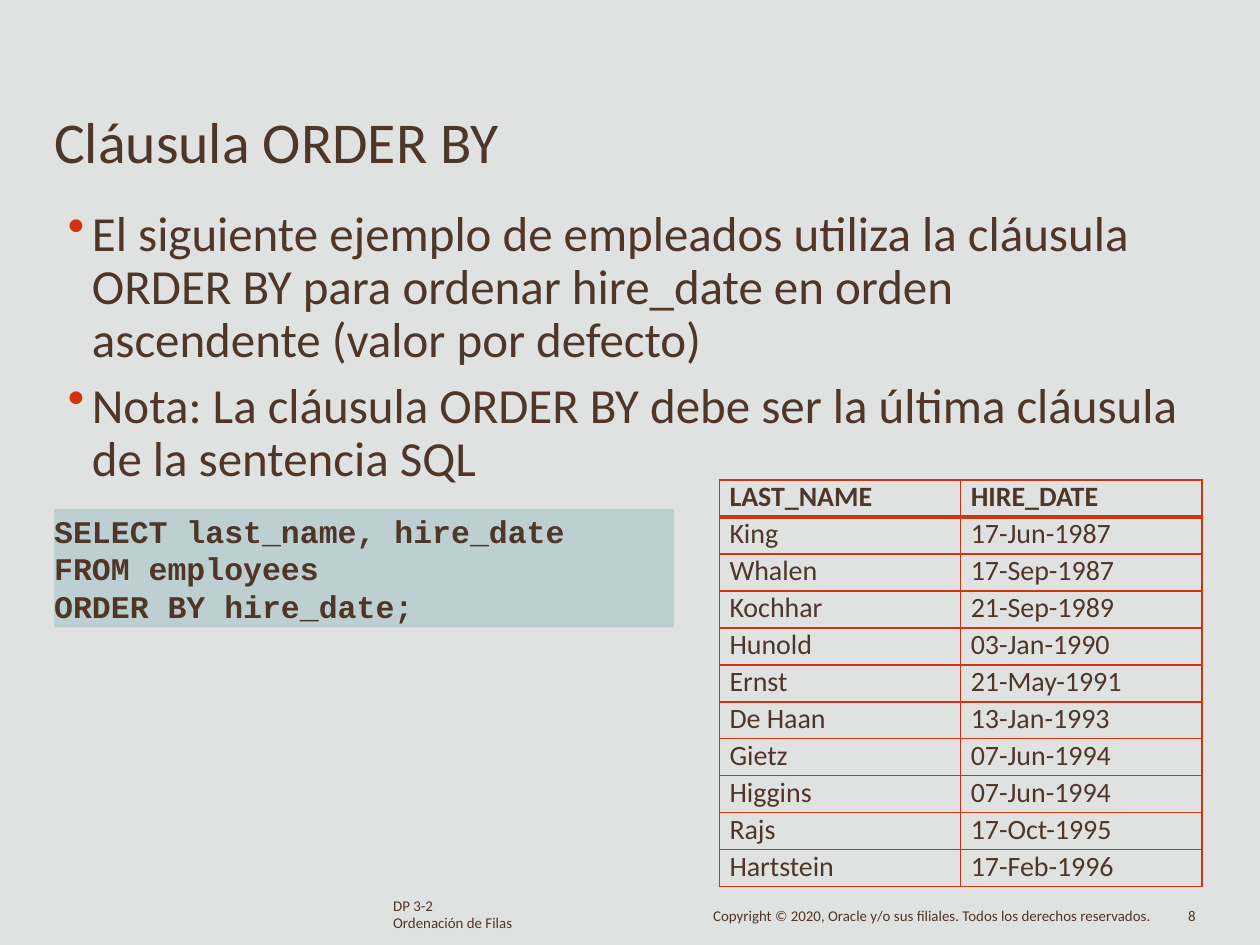
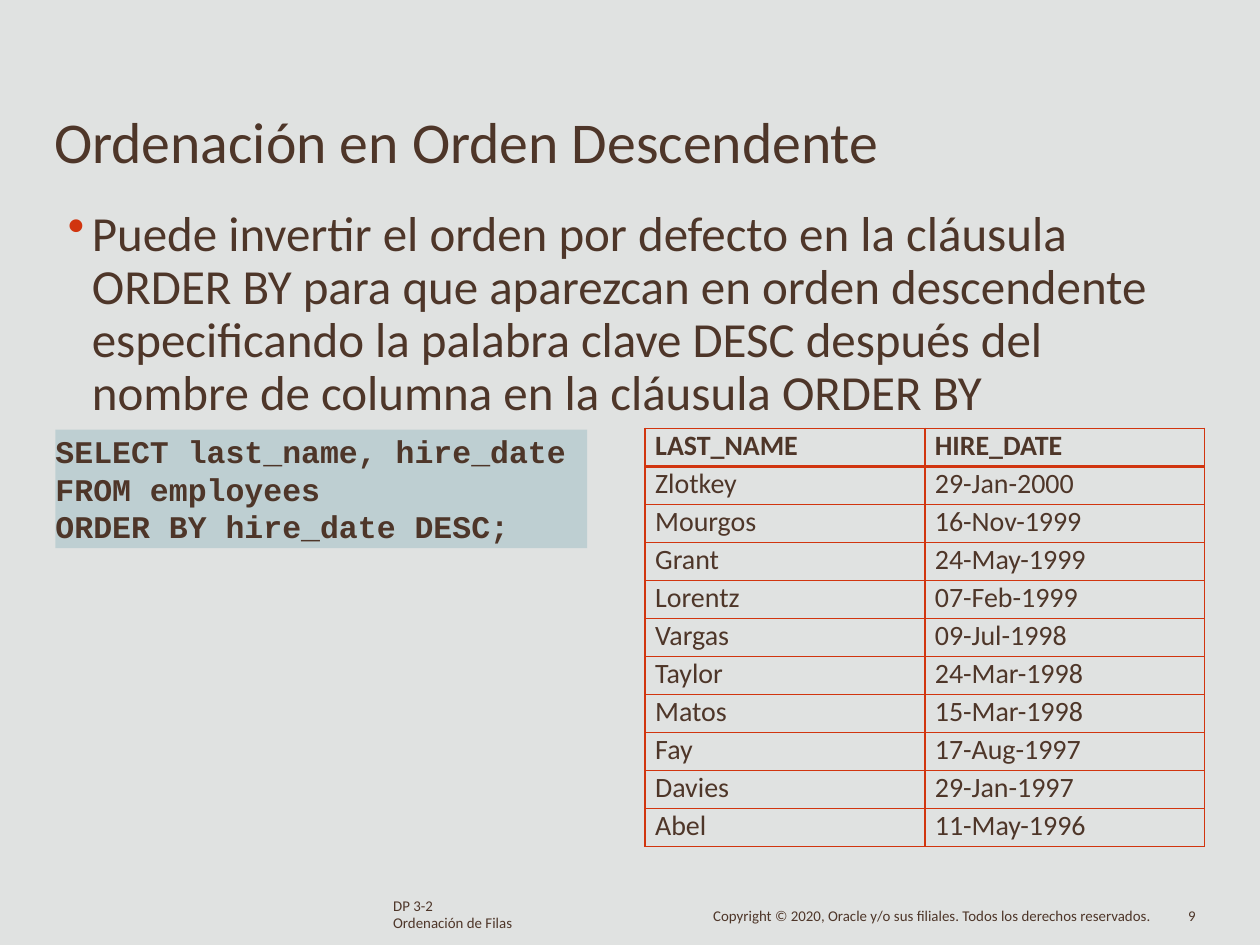
"""Build two slides on sorting rows with the ORDER BY clause."""
import lxml.etree
import pptx
import pptx.dml.color
import pptx.enum.shapes
import pptx.enum.text
import pptx.oxml.ns
import pptx.util

Inches = pptx.util.Inches
Pt = pptx.util.Pt

BROWN, RED, PALE, TEAL = "4E3629", "D1350F", "E0E2E1", "9DBEC4"
BODY_FONT, CODE_FONT = "Calibri", "Courier New"
TITLE_AREA = (0.43, 0.82, 9, 0.58)
HEADINGS = ("LAST_NAME", "HIRE_DATE")
FOOTERS = [
    ((3.12, 7.12, 0.98, 0.27), ["DP 3-2", "Ordenación de Filas"], 9.7),
    ((5.66, 7.21, 3.6, 0.15),
     ["Copyright © 2020, Oracle y/o sus filiales. Todos los derechos reservados."], 9.1),
]
NUMBER_AREA = (9.43, 7.21, 0.19, 0.15)

SLIDES = [
    {
        "number": 8,
        "title": "Cláusula ORDER BY",
        "bullets": [
            "El siguiente ejemplo de empleados utiliza la cláusula ORDER BY para "
            "ordenar hire_date en orden ascendente (valor por defecto)",
            "Nota: La cláusula ORDER BY debe ser la última cláusula de la sentencia SQL",
        ],
        "bullet_area": (0.53, 1.55, 8.84, 2.29),
        "code": ["SELECT last_name, hire_date", "FROM employees", "ORDER BY hire_date;"],
        "code_area": (0.43, 4.04, 4.92, 0.94),
        "table_area": (5.71, 3.81, 3.83, 3.23),
        "rows": [
            ("King", "17-Jun-1987"), ("Whalen", "17-Sep-1987"),
            ("Kochhar", "21-Sep-1989"), ("Hunold", "03-Jan-1990"),
            ("Ernst", "21-May-1991"), ("De Haan", "13-Jan-1993"),
            ("Gietz", "07-Jun-1994"), ("Higgins", "07-Jun-1994"),
            ("Rajs", "17-Oct-1995"), ("Hartstein", "17-Feb-1996"),
        ],
    },
    {
        "number": 9,
        "title": "Ordenación en Orden Descendente",
        "bullets": [
            "Puede invertir el orden por defecto en la cláusula ORDER BY para que "
            "aparezcan en orden descendente especificando la palabra clave DESC "
            "después del nombre de columna en la cláusula ORDER BY",
        ],
        "bullet_area": (0.53, 1.55, 8.6, 1.75),
        "code": ["SELECT last_name, hire_date", "FROM employees", "ORDER BY hire_date DESC;"],
        "code_area": (0.44, 3.41, 4.22, 0.94),
        "table_area": (5.12, 3.4, 4.44, 3.32),
        "rows": [
            ("Zlotkey", "29-Jan-2000"), ("Mourgos", "16-Nov-1999"),
            ("Grant", "24-May-1999"), ("Lorentz", "07-Feb-1999"),
            ("Vargas", "09-Jul-1998"), ("Taylor", "24-Mar-1998"),
            ("Matos", "15-Mar-1998"), ("Fay", "17-Aug-1997"),
            ("Davies", "29-Jan-1997"), ("Abel", "11-May-1996"),
        ],
    },
]


def place(area):
    return [Inches(length) for length in area]


def paint(fill, color):
    fill.solid()
    fill.fore_color.rgb = pptx.dml.color.RGBColor.from_string(color)


def add_element(parent, tag, **attributes):
    return lxml.etree.SubElement(parent, pptx.oxml.ns.qn(tag), attributes)


def indent(para, left, first=0):
    properties = para._p.get_or_add_pPr()
    properties.set("marL", str(Inches(left)))
    properties.set("indent", str(Inches(first)))
    return properties


def add_bullet(para):
    properties = indent(para, 0.2, -0.19)
    add_element(add_element(properties, "a:buClr"), "a:srgbClr", val=RED)
    add_element(properties, "a:buChar", char="•")


def write(frame, lines, size, font=BODY_FONT, bold=False, pitch=None, gap=0,
          bulleted=False, top=0):
    frame.word_wrap = True
    frame.margin_left = frame.margin_right = frame.margin_bottom = 0
    frame.margin_top = Inches(top)
    for index, line in enumerate(lines):
        para = frame.add_paragraph() if index else frame.paragraphs[0]
        para.alignment = pptx.enum.text.PP_ALIGN.LEFT
        if bulleted:
            add_bullet(para)
        if pitch:
            para.line_spacing = Pt(pitch)
        if index and gap:
            para.space_before = Pt(gap)
        span = para.add_run()
        span.text = line
        span.font.name = font
        span.font.size = Pt(size)
        span.font.bold = bold
        paint(span.font.fill, BROWN)


def add_text(page, area, lines, size, **style):
    box = page.shapes.add_textbox(*place(area))
    write(box.text_frame, lines, size, **style)
    return box


def add_code(page, area, lines):
    box = page.shapes.add_shape(pptx.enum.shapes.MSO_SHAPE.RECTANGLE, *place(area))
    box.shadow.inherit = False
    box.line.fill.background()
    paint(box.fill, TEAL)
    color = box._element.spPr.find(".//" + pptx.oxml.ns.qn("a:srgbClr"))
    add_element(color, "a:alpha", val="50000")
    box.text_frame.vertical_anchor = pptx.enum.text.MSO_ANCHOR.MIDDLE
    write(box.text_frame, lines, 18, font=CODE_FONT, bold=True, pitch=21.5)


def add_borders(cell, widths):
    properties = cell._tc.get_or_add_tcPr()
    for side, width in widths.items():
        line = add_element(properties, "a:ln" + side, w=str(Pt(width)))
        add_element(add_element(line, "a:solidFill"), "a:srgbClr", val=RED)


def add_employees(page, area, rows):
    records = [HEADINGS, *rows]
    table = page.shapes.add_table(len(records), len(HEADINGS), *place(area)).table
    table.first_row = table.horz_banding = False
    for row in table.rows:
        row.height = Inches(area[3] / len(records))
    for index, record in enumerate(records):
        for column, value in enumerate(record):
            cell = table.cell(index, column)
            cell.margin_left = cell.margin_right = cell.margin_top = cell.margin_bottom = 0
            add_borders(cell, {"L": 1, "R": 1, "T": 2.25 if index == 1 else 1,
                               "B": 2.25 if index == 0 else 1})
            cell.fill.background()
            write_cell(cell, value, index == 0)


def write_cell(cell, value, bold):
    para = cell.text_frame.paragraphs[0]
    indent(para, 0.08)
    span = para.add_run()
    span.text = value
    span.font.name = BODY_FONT
    span.font.size = Pt(16)
    span.font.bold = bold
    paint(span.font.fill, BROWN)


def add_page(deck, content):
    page = deck.slides.add_slide(deck.slide_layouts[6])
    paint(page.background.fill, PALE)
    add_text(page, TITLE_AREA, [content["title"]], 33, top=0.02)
    number = (NUMBER_AREA, [str(content["number"])], 9.1)
    for area, lines, pitch in [*FOOTERS, number]:
        add_text(page, area, lines, 8.5, pitch=pitch)
    add_text(page, content["bullet_area"], content["bullets"], 28, pitch=30.3,
             gap=7.8, bulleted=True, top=0.1)
    add_employees(page, content["table_area"], content["rows"])
    add_code(page, content["code_area"], content["code"])


def main():
    deck = pptx.Presentation()
    deck.slide_width, deck.slide_height = Inches(10), Inches(7.5)
    for content in SLIDES:
        add_page(deck, content)
    deck.save("out.pptx")


if __name__ == "__main__":
    main()
